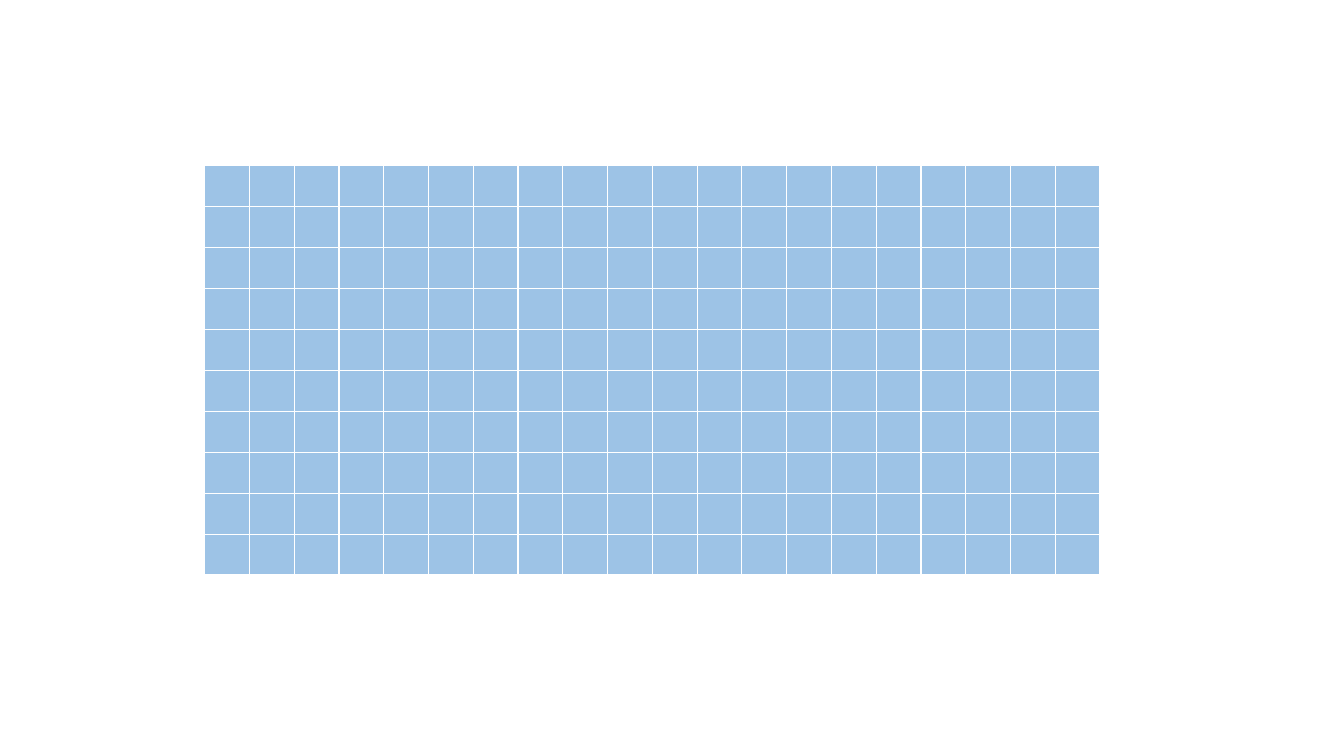
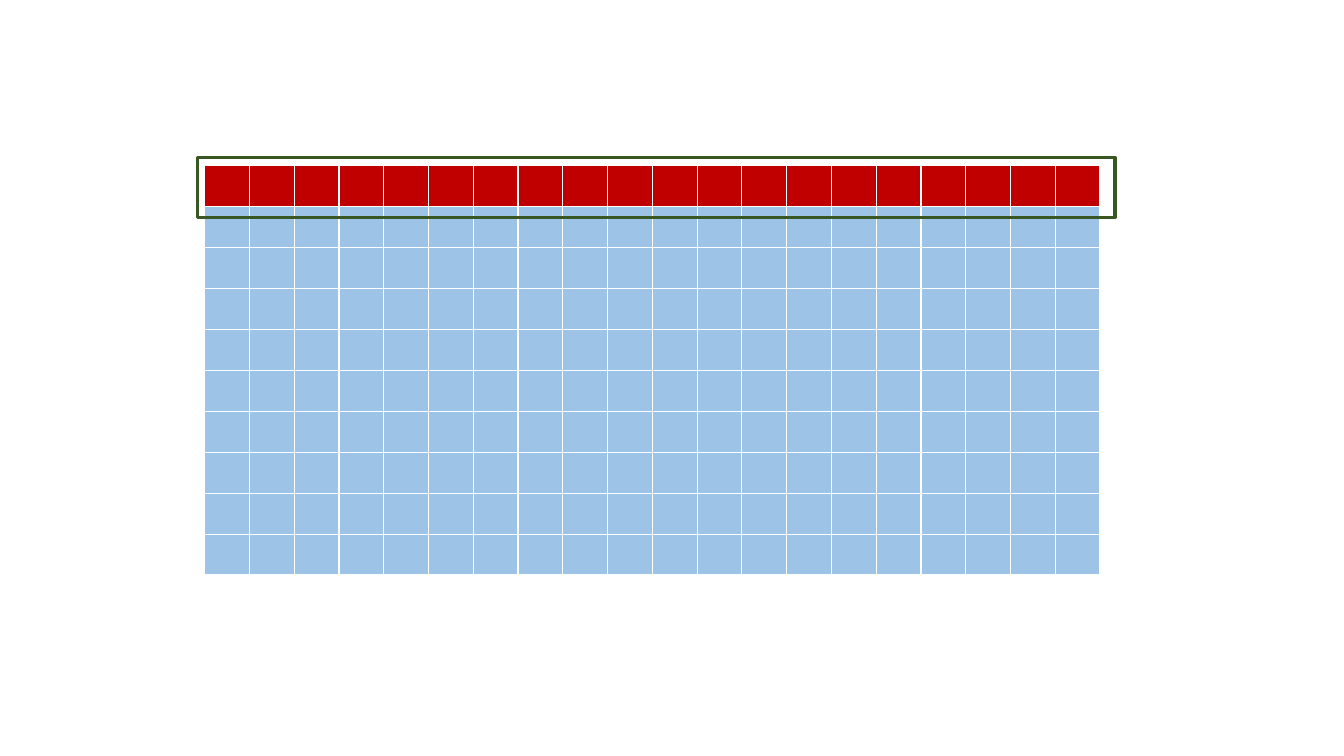
"""Build two slides with a grid of cells, the second with its first row marked."""
from pptx import Presentation
from pptx import util as u
from pptx.dml.color import RGBColor
from pptx.enum import shapes

PX = 9525
ROWS, COLUMNS = 10, 20
BLUE, RED, GREEN = "9DC3E6", "C00000", "385723"


def px(*lengths):
    return [u.Emu(length * PX) for length in lengths]


def paint(fill, colour):
    fill.solid()
    fill.fore_color.rgb = RGBColor.from_string(colour)


deck = Presentation()
deck.slide_width, deck.slide_height = px(1280, 720)

for first_row_colour in (BLUE, RED):
    slide = deck.slides.add_slide(deck.slide_layouts[6])
    grid = slide.shapes.add_table(ROWS, COLUMNS, *px(195, 158, 853, 390)).table
    grid.horz_banding = False
    for row_number, row in enumerate(grid.rows):
        for cell in row.cells:
            paint(cell.fill, BLUE if row_number else first_row_colour)

row_frame = slide.shapes.add_shape(
    shapes.MSO_SHAPE.RECTANGLE, *px(188, 150, 874, 57))
row_frame.shadow.inherit = False
row_frame.fill.background()
paint(row_frame.line.fill, GREEN)
row_frame.line.width = u.Pt(2.25)

deck.save("out.pptx")
